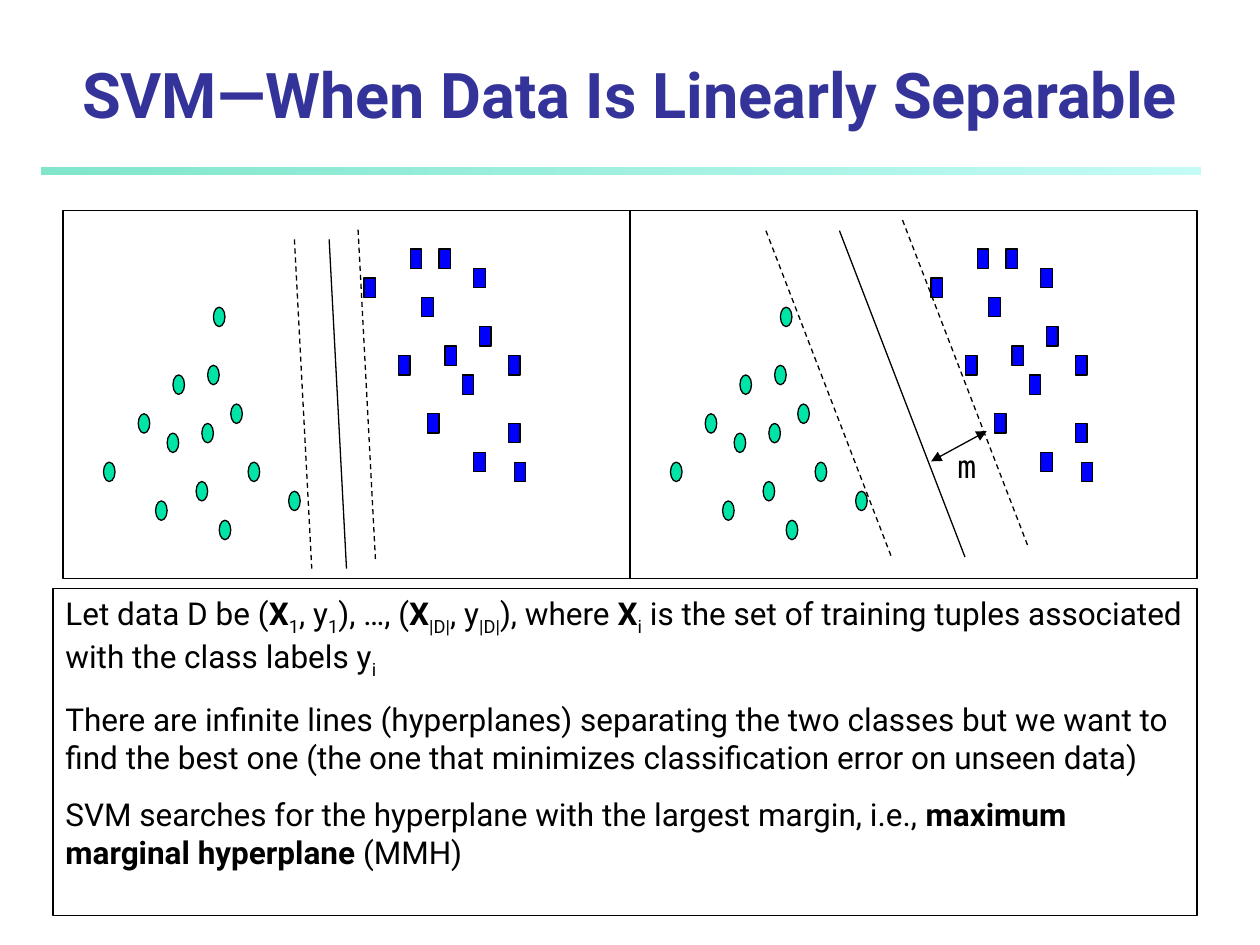
from lxml.etree import SubElement
from pptx import Presentation
from pptx.dml.color import RGBColor
from pptx.enum.dml import MSO_LINE
from pptx.enum.shapes import MSO_CONNECTOR, MSO_SHAPE
from pptx.enum.text import MSO_ANCHOR, PP_ALIGN
from pptx.oxml.ns import qn
from pptx.util import Cm, Pt

COLORS = {
    "title": "333399",
    "black": "000000",
    "circle": "00E4A8",
    "square": "0000FF",
    "bar_light": "8FF9EF",
    "bar_dark": "00CE98",
}

# Each panel is a grid of 98 by 38 cells; a data point covers 2 by 2
PANEL_LEFT, PANEL_TOP, PANEL_W, PANEL_H = 1.27, 4.24, 11.43, 7.42
CELL_W, CELL_H = PANEL_W / 98, PANEL_H / 38

CIRCLES = [(16, 30), (18, 23), (7, 26), (13, 21), (23, 28), (19, 17), (24, 22),
           (25, 16), (29, 20), (32, 26), (27, 32), (39, 29), (26, 10)]
SQUARES = [(58, 15), (52, 7), (60, 4), (63, 21), (62, 9), (66, 14), (65, 4),
           (71, 6), (69, 17), (72, 12), (71, 25), (77, 15), (77, 22), (78, 26)]

# Lines in grid cells: start, end, dashed
SMALL_MARGIN = [((51, 2), (54, 36), True),
                ((40, 3), (43, 37), True),
                ((46, 3), (49, 37), False)]
LARGE_MARGIN = [((23.5, 2.1), (45.2, 35.8), True),
                ((47.1, 1), (68.8, 34.7), True),
                ((36.2, 2.1), (57.9, 35.8), False)]

# Paragraphs of runs: text, style
BODY = [
    [("Let data D be (", ""), ("X", "bold"), ("1", "sub"), (", y", ""),
     ("1", "sub"), ("), …, (", ""), ("X", "bold"), ("|D|", "sub"),
     (", y", ""), ("|D|", "sub"), ("), where ", ""), ("X", "bold"),
     ("i", "sub"),
     (" is the set of training tuples associated with the class labels y", ""),
     ("i", "sub")],
    [("There are infinite lines (hyperplanes) separating the two classes but "
      "we want to find the best one (the one that minimizes classification "
      "error on unseen data)", "")],
    [("SVM searches for the hyperplane with the largest margin, i.e., ", ""),
     ("maximum marginal hyperplane", "bold"), (" (MMH)", "")],
]


def rgb(name):
    return RGBColor.from_string(COLORS[name])


def add_box(shapes, kind, left, top, width, height, fill=None):
    """Preset shape with a thin black outline."""
    sp = shapes.add_shape(kind, Cm(left), Cm(top), Cm(width), Cm(height))
    sp.shadow.inherit = False
    if fill:
        sp.fill.solid()
        sp.fill.fore_color.rgb = rgb(fill)
    else:
        sp.fill.background()
    sp.line.color.rgb = rgb("black")
    sp.line.width = Pt(0.75)
    return sp


def add_line(shapes, start, end, dashed=False, arrows=False):
    line = shapes.add_connector(MSO_CONNECTOR.STRAIGHT,
                                *(Cm(v) for v in (*start, *end)))
    line.line.color.rgb = rgb("black")
    line.line.width = Pt(0.75)
    if dashed:
        line.line.dash_style = MSO_LINE.DASH
    if arrows:
        ln = line.line._get_or_add_ln()
        for tag in ("a:headEnd", "a:tailEnd"):
            SubElement(ln, qn(tag), type="triangle")
    SubElement(line._element.spPr, qn("a:effectLst"))


def write_text(sp, paragraphs, size=18, font="Roboto", color="black",
               align=PP_ALIGN.LEFT, anchor=MSO_ANCHOR.TOP, space_before=11.2):
    tf = sp.text_frame
    tf.word_wrap = True
    tf.vertical_anchor = anchor
    for i, runs in enumerate(paragraphs):
        p = tf.add_paragraph() if i else tf.paragraphs[0]
        p.alignment = align
        if i:
            p.space_before = Pt(space_before)
        for text, style in runs:
            r = p.add_run()
            r.text = text
            r.font.size = Pt(size)
            r.font.name = font
            r.font.color.rgb = rgb(color)
            r.font.bold = style == "bold"
            if style == "sub":
                r.font._element.set("baseline", "-25000")


def add_textbox(s, left, top, width, height, text, style="", **fmt):
    sp = s.shapes.add_textbox(Cm(left), Cm(top), Cm(width), Cm(height))
    write_text(sp, [[(text, style)]], **fmt)


def add_divider(s):
    bar = add_box(s.shapes, MSO_SHAPE.RECTANGLE, 0.84, 3.38, 23.37, 0.13)
    bar.line.fill.background()
    bar.fill.gradient()
    bar.fill.gradient_angle = 180
    stops = zip(bar.fill.gradient_stops, ("bar_light", "bar_dark"), (52, 50))
    for stop, color, alpha in stops:
        stop.color.rgb = rgb(color)
        clr = stop._gs.find(qn("a:srgbClr"))
        SubElement(clr, qn("a:alpha"), val=str(alpha * 1000))


def add_panel(s, left, lines):
    """One scatter plot with its separating lines, as a group."""
    def place(cell):
        return left + cell[0] * CELL_W, PANEL_TOP + cell[1] * CELL_H

    shapes = s.shapes.add_group_shape().shapes
    for kind, points, fill in ((MSO_SHAPE.OVAL, CIRCLES, "circle"),
                               (MSO_SHAPE.RECTANGLE, SQUARES, "square")):
        for point in points:
            add_box(shapes, kind, *place(point), 2 * CELL_W, 2 * CELL_H, fill)
    add_box(shapes, MSO_SHAPE.RECTANGLE, left, PANEL_TOP, PANEL_W, PANEL_H)
    for start, end, dashed in lines:
        add_line(shapes, place(start), place(end), dashed)


def main():
    prs = Presentation()
    prs.slide_width, prs.slide_height = Cm(25.4), Cm(19.05)
    s = prs.slides.add_slide(prs.slide_layouts[6])

    # Title and divider
    add_divider(s)
    add_textbox(s, 0, 1.07, 25.4, 1.7, "SVM—When Data Is Linearly Separable",
                "bold", size=36, color="title", align=PP_ALIGN.CENTER,
                anchor=MSO_ANCHOR.BOTTOM)

    # Two panels side by side
    for i, lines in enumerate((SMALL_MARGIN, LARGE_MARGIN)):
        add_panel(s, PANEL_LEFT + i * PANEL_W, lines)

    # Margin arrow and its label
    add_line(s.shapes, (18.77, 9.3), (19.89, 8.69), arrows=True)
    add_textbox(s, 19.05, 8.89, 1.47, 1.02, "m", font="DejaVu Sans Mono")

    # Explanation
    body = add_box(s.shapes, MSO_SHAPE.RECTANGLE, 1.07, 11.86, 23.06, 6.6)
    write_text(body, BODY)

    prs.save("out.pptx")


if __name__ == "__main__":
    main()
